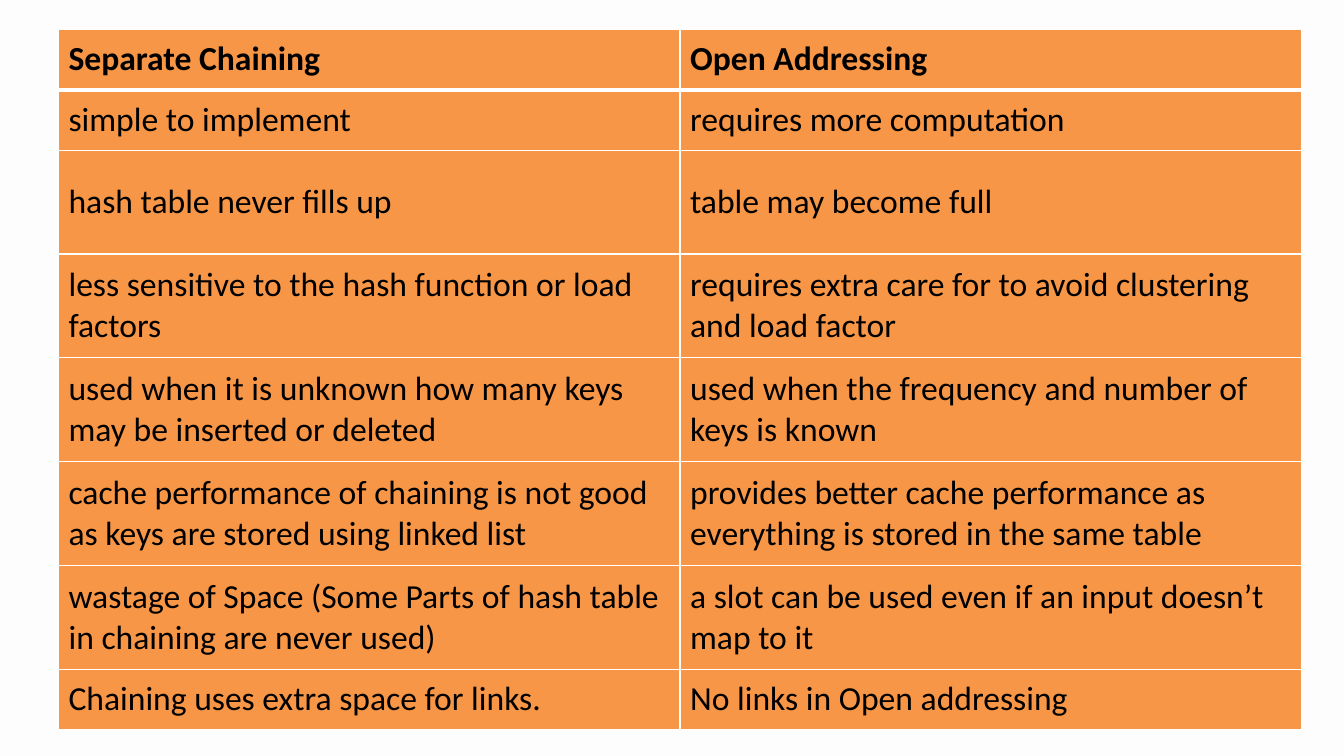
"""Build a slide comparing separate chaining with open addressing."""
import pptx
import pptx.dml.color
import pptx.enum.text
import pptx.oxml
import pptx.oxml.ns
import pptx.util

COMPARISON = [
    ("Separate Chaining", "Open Addressing"),
    ("simple to implement", "requires more computation"),
    ("hash table never fills up", "table may become full"),
    ("less sensitive to the hash function or load factors",
     "requires extra care for to avoid clustering and load factor"),
    ("used when it is unknown how many keys may be inserted or deleted",
     "used when the frequency and number of keys is known"),
    ("cache performance of chaining is not good as keys are stored using linked list",
     "provides better cache performance as everything is stored in the same table"),
    ("wastage of Space (Some Parts of hash table in chaining are never used)",
     "a slot can be used even if an input doesn’t map to it"),
    ("Chaining uses extra space for links.", "No links in Open addressing"),
]
COLORS = {"background": "FDFDFD", "cell": "F79646", "border": "FFFFFF", "text": "000000"}
FONT, FONT_SIZE = "Calibri", 24
SLIDE_WIDTH, SLIDE_HEIGHT = 13.33, 7.5
LEFT, TOP, WIDTH = 0.58, 0.29, 12.33
SHORT_ROW, TALL_ROW = 0.6, 1.03
TALL_ROWS = range(2, 7)
THIN, THICK = 1, 3


def rgb(name):
    return pptx.dml.color.RGBColor.from_string(COLORS[name])


def add_borders(cell, row):
    widths = {
        "lnL": THIN,
        "lnR": THIN,
        "lnT": THICK if row == 1 else THIN,
        "lnB": THICK if row == 0 else THIN,
    }
    properties = cell._tc.get_or_add_tcPr()
    for position, (side, width) in enumerate(widths.items()):
        border = pptx.oxml.parse_xml(
            f'<a:{side} {pptx.oxml.ns.nsdecls("a")} w="{pptx.util.Pt(width)}">'
            f'<a:solidFill><a:srgbClr val="{COLORS["border"]}"/></a:solidFill></a:{side}>')
        properties.insert(position, border)


def fill_cell(cell, wording, row):
    cell.fill.solid()
    cell.fill.fore_color.rgb = rgb("cell")
    cell.vertical_anchor = pptx.enum.text.MSO_ANCHOR.MIDDLE
    cell.text_frame.text = wording
    font = cell.text_frame.paragraphs[0].runs[0].font
    font.name = FONT
    font.size = pptx.util.Pt(FONT_SIZE)
    font.bold = row == 0
    font.color.rgb = rgb("text")
    add_borders(cell, row)


def main():
    deck = pptx.Presentation()
    deck.slide_width = pptx.util.Inches(SLIDE_WIDTH)
    deck.slide_height = pptx.util.Inches(SLIDE_HEIGHT)
    slide = deck.slides.add_slide(deck.slide_layouts[6])
    slide.background.fill.solid()
    slide.background.fill.fore_color.rgb = rgb("background")

    heights = [TALL_ROW if row in TALL_ROWS else SHORT_ROW for row in range(len(COMPARISON))]
    frame = map(pptx.util.Inches, (LEFT, TOP, WIDTH, sum(heights)))
    table = slide.shapes.add_table(len(COMPARISON), len(COMPARISON[0]), *frame).table
    for row, (height, wordings) in enumerate(zip(heights, COMPARISON)):
        table.rows[row].height = pptx.util.Inches(height)
        for column, wording in enumerate(wordings):
            fill_cell(table.cell(row, column), wording, row)
    deck.save("out.pptx")


if __name__ == "__main__":
    main()
